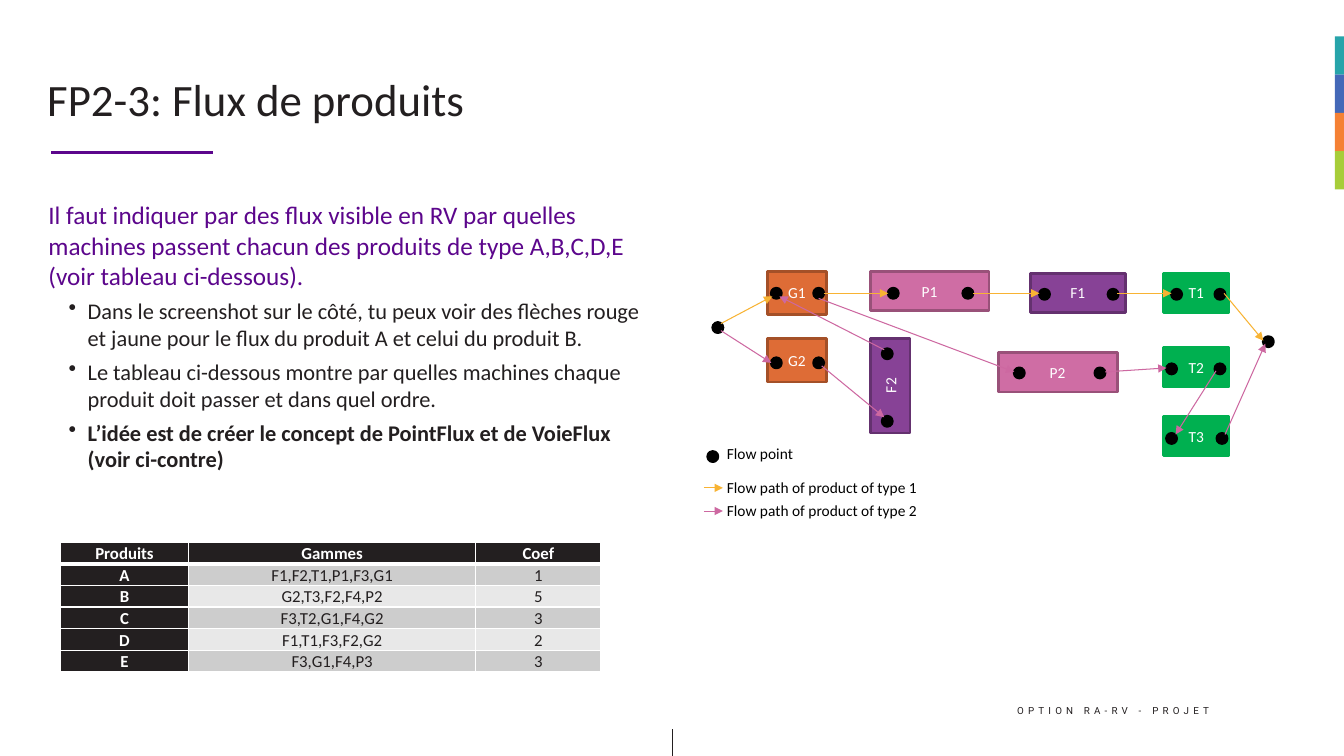
"""Build the slide on product flows: text, routing table and flow diagram."""
from pptx import Presentation
from pptx.dml.color import RGBColor
from pptx.enum.shapes import MSO_CONNECTOR, MSO_SHAPE
from pptx.enum.text import MSO_ANCHOR, PP_ALIGN
from pptx.oxml.ns import qn
from pptx.util import Inches, Pt
from lxml import etree

RECT, OVAL, STRAIGHT = MSO_SHAPE.RECTANGLE, MSO_SHAPE.OVAL, MSO_CONNECTOR.STRAIGHT
TOP, MIDDLE = MSO_ANCHOR.TOP, MSO_ANCHOR.MIDDLE
LEFT, CENTER, RIGHT, JUSTIFY = PP_ALIGN.LEFT, PP_ALIGN.CENTER, PP_ALIGN.RIGHT, PP_ALIGN.JUSTIFY


class Theme:
    ink, white, black, purple = "231F20", "FFFFFF", "000000", "5C068C"
    band = ("CDCDCD", "E8E8E8")
    stripes = ("27A4AA", "4469B8", "F58134", "A7CD39")
    flow = {1: "F8B333", 2: "CD68A1"}
    font, footer_font = "Calibri", "Roboto"
    title, lead, bullet, cell, label, footer = 32, 18, 16, 12, 11, 7


TITLE = "FP2-3: Flux de produits"
FOOTER = "OPTION RA-RV - PROJET"
LEAD = ("Il faut indiquer par des flux visible en RV par quelles machines passent "
        "chacun des produits de type A,B,C,D,E (voir tableau ci-dessous).")
BULLETS = [
    ("Dans le screenshot sur le côté, tu peux voir des flèches rouge et jaune "
     "pour le flux du produit A et celui du produit B.", False),
    ("Le tableau ci-dessous montre par quelles machines chaque produit doit passer "
     "et dans quel ordre.", False),
    ("L’idée est de créer le concept de PointFlux et de VoieFlux (voir ci-contre)", True),
]
ROUTES = [
    ("Produits", "Gammes", "Coef"),
    ("A", "F1,F2,T1,P1,F3,G1", "1"),
    ("B", "G2,T3,F2,F4,P2", "5"),
    ("C", "F3,T2,G1,F4,G2", "3"),
    ("D", "F1,T1,F3,F2,G2", "2"),
    ("E", "F3,G1,F4,P3", "3"),
]
COLUMNS = (1.27, 2.85, 1.24)
ROW_HEIGHT = 0.21

KINDS = {
    "G": (0.59, 0.43, "DE6C36", "A45028"),
    "P": (1.18, 0.39, "CF6DA4", "995179"),
    "F": (0.94, 0.39, "874296", "64316F"),
    "T": (0.65, 0.39, "00B050", "00B050"),
}
MACHINES = [
    ("P1", 8.63, 2.69, 0), ("G1", 7.61, 2.69, 0), ("G2", 7.61, 3.36, 0),
    ("P2", 9.9, 3.5, 0), ("F1", 10.22, 2.71, 0), ("T1", 11.54, 2.71, 0),
    ("F2", 8.36, 3.63, 270), ("T2", 11.54, 3.45, 0), ("T3", 11.54, 4.13, 0),
]
POINT_ROWS = [
    (2.86, (7.65, 8.07, 8.81, 9.55)),
    (2.87, (10.31, 10.99, 11.62, 12.05)),
    (3.2, (7.07,)),
    (3.34, (12.53,)),
    (3.46, (8.75,)),
    (3.55, (7.65, 8.07)),
    (3.61, (11.57, 12.05)),
    (3.65, (10.06, 10.86)),
    (4.13, (8.75,)),
    (4.3, (11.57, 12.07)),
    (4.48, (7.02,)),
]
FLOWS = {
    1: [(7.15, 3.21, 7.66, 2.94), (8.17, 2.91, 8.81, 2.91), (9.65, 2.91, 10.31, 2.91),
        (11.08, 2.91, 11.62, 2.91), (12.14, 2.91, 12.53, 3.38), (6.98, 4.84, 7.17, 4.84)],
    2: [(7.15, 3.28, 7.65, 3.6), (8.15, 3.63, 8.77, 4.14), (8.77, 3.47, 7.73, 2.94),
        (8.12, 2.96, 10.06, 3.69), (10.96, 3.69, 11.57, 3.65), (12.06, 3.68, 11.66, 4.31),
        (12.15, 4.31, 12.55, 3.41), (6.98, 5.07, 7.17, 5.07)],
}
LEGEND = [("Flow point", 4.36), ("Flow path of product of type 1", 4.69),
          ("Flow path of product of type 2", 4.92)]


def rgb(value):
    return RGBColor.from_string(value)


def style(p, size, color, align=LEFT, bold=False, font=Theme.font):
    p.alignment = align
    for r in p.runs:
        r.font.name, r.font.size, r.font.bold = font, Pt(size), bold
        r.font.color.rgb = rgb(color)


def add_text(s, box, text, size, color, align=LEFT, anchor=TOP, font=Theme.font):
    tf = s.shapes.add_textbox(*map(Inches, box)).text_frame
    tf.word_wrap, tf.vertical_anchor = True, anchor
    tf.text = text
    style(tf.paragraphs[0], size, color, align, font=font)
    return tf


def add_block(s, kind, box, fill, outline=None):
    sp = s.shapes.add_shape(kind, *map(Inches, box))
    sp.shadow.inherit = False
    sp.fill.solid()
    sp.fill.fore_color.rgb = rgb(fill)
    if outline:
        sp.line.color.rgb, sp.line.width = rgb(outline), Pt(2)
    else:
        sp.line.fill.background()
    return sp


def add_line(s, ends, color, width, arrow=False):
    line = s.shapes.add_connector(STRAIGHT, *map(Inches, ends))
    line.line.color.rgb, line.line.width = rgb(color), Pt(width)
    if arrow:
        etree.SubElement(line.line._get_or_add_ln(), qn("a:tailEnd"), type="triangle")
    etree.SubElement(line._element.spPr, qn("a:effectLst"))


def indent(p, margin, hanging, bullet=None):
    pPr = p._p.get_or_add_pPr()
    pPr.set("marL", str(Inches(margin)))
    pPr.set("indent", str(Inches(-hanging)))
    if bullet:
        color = etree.SubElement(pPr, qn("a:buClr"))
        etree.SubElement(color, qn("a:srgbClr"), val=Theme.ink)
        etree.SubElement(pPr, qn("a:buChar"), char=bullet)
    else:
        etree.SubElement(pPr, qn("a:buNone"))


def add_body(s):
    tf = add_text(s, (0.37, 1.78, 6.18, 3.31), LEAD, Theme.lead, Theme.purple)
    tf.margin_left, tf.margin_top = Inches(0.01), Inches(0.2)
    indent(tf.paragraphs[0], 0.1, 0)
    for text, bold in BULLETS:
        p = tf.add_paragraph()
        p.text = text
        indent(p, 0.49, 0.19, "•")
        p.space_before = Pt(5)
        style(p, Theme.bullet, Theme.ink, bold=bold)


def border_cell(cell, header):
    tcPr = cell._tc.get_or_add_tcPr()
    for i, side in enumerate(("lnL", "lnR", "lnT", "lnB")):
        width = 3 if header and side == "lnB" else 1
        ln = etree.Element(qn("a:" + side), w=str(Pt(width)))
        fill = etree.SubElement(ln, qn("a:solidFill"))
        etree.SubElement(fill, qn("a:srgbClr"), val=Theme.white)
        tcPr.insert(i, ln)


def add_routes(s):
    rows = len(ROUTES)
    size = (sum(COLUMNS), ROW_HEIGHT * rows)
    table = s.shapes.add_table(rows, len(COLUMNS), *map(Inches, (0.6, 5.38) + size)).table
    for column, width in zip(table.columns, COLUMNS):
        column.width = Inches(width)
    for i, row in enumerate(ROUTES):
        for j, text in enumerate(row):
            cell = table.cell(i, j)
            dark = i == 0 or j == 0
            cell.fill.solid()
            cell.fill.fore_color.rgb = rgb(Theme.ink if dark else Theme.band[(i - 1) % 2])
            cell.margin_left = cell.margin_right = Inches(0.03)
            cell.margin_top = cell.margin_bottom = 0
            cell.vertical_anchor = MIDDLE
            cell.text = text
            p = cell.text_frame.paragraphs[0]
            p.line_spacing = 1.07
            style(p, Theme.cell, Theme.white if dark else Theme.ink, CENTER, dark)
            border_cell(cell, i == 0)


def add_diagram(s):
    for name, x, y, angle in MACHINES:
        w, h, fill, outline = KINDS[name[0]]
        sp = add_block(s, RECT, (x, y, w, h), fill, outline)
        sp.rotation = angle
        tf = sp.text_frame
        tf.text, tf.vertical_anchor = name, MIDDLE
        style(tf.paragraphs[0], Theme.label, Theme.white, CENTER)
    for y, xs in POINT_ROWS:
        for x in xs:
            add_block(s, OVAL, (x, y, 0.1, 0.1), Theme.black, Theme.black)
    for product, paths in FLOWS.items():
        for ends in paths:
            add_line(s, ends, Theme.flow[product], 0.75, arrow=True)
    for text, y in LEGEND:
        add_text(s, (7.11, y, 2.45, 0.28), text, Theme.label, Theme.black, JUSTIFY)


def main():
    prs = Presentation()
    prs.slide_width, prs.slide_height = Inches(13.33), Inches(7.5)
    s = prs.slides.add_slide(prs.slide_layouts[6])
    add_line(s, (6.67, 7.5, 6.67, 7.23), Theme.ink, 1)
    add_line(s, (0.51, 1.51, 2.11, 1.51), Theme.purple, 2)
    for i, color in enumerate(Theme.stripes):
        add_block(s, RECT, (13.24, 0.36 + 0.38 * i, 0.1, 0.38), color)
    add_body(s)
    footer = add_text(s, (8.19, 6.85, 3.9, 0.4), FOOTER, Theme.footer, Theme.ink,
                      RIGHT, MIDDLE, Theme.footer_font)
    footer.paragraphs[0].runs[0].font._element.set("spc", "300")
    title = add_text(s, (0.37, 0.52, 12.6, 0.99), TITLE, Theme.title, Theme.ink, anchor=MIDDLE)
    title.paragraphs[0].line_spacing = 0.9
    add_routes(s)
    add_diagram(s)
    prs.save("out.pptx")


if __name__ == "__main__":
    main()
